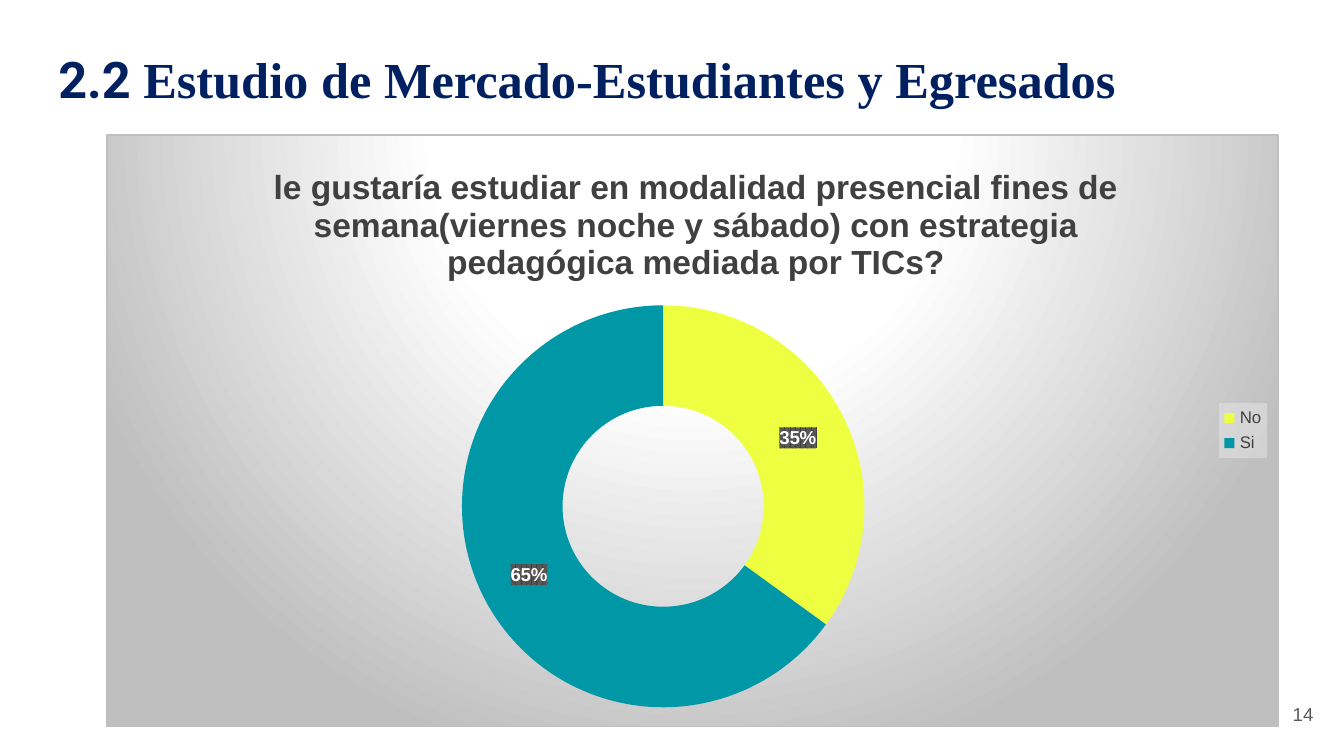
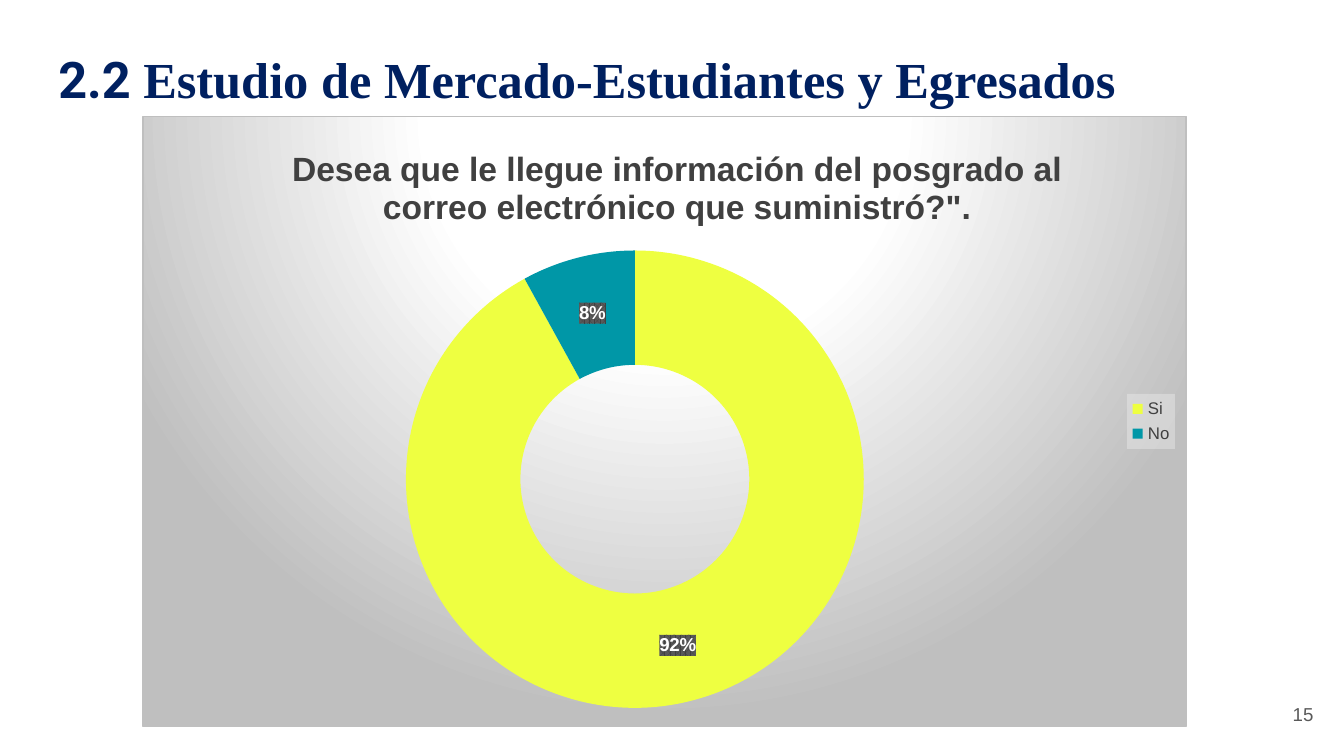
from pptx import Presentation
from pptx.chart.data import CategoryChartData
from pptx.dml.color import RGBColor
from pptx.enum.chart import XL_CHART_TYPE, XL_LEGEND_POSITION
from pptx.enum.text import MSO_ANCHOR, MSO_AUTO_SIZE, PP_ALIGN
from pptx.oxml import parse_xml
from pptx.oxml.ns import nsdecls
from pptx.util import Pt

COLORS = {
    "navy": "002060",
    "yellow": "EEFF41",
    "teal": "0097A7",
    "text": "404040",
    "label": "595959",
    "legend": "F2F2F2",
    "edge": "BFBFBF",
    "white": "FFFFFF",
    "black": "000000",
}
TITLE_RUNS = [
    ("2.2 ", "Roboto"),
    ("Estudio de Mercado-Estudiantes y Egresados", "Times New Roman"),
]
SURVEYS = [
    {
        "number": "14",
        "question": "le gustaría estudiar en modalidad presencial fines de "
        "semana(viernes noche y sábado) con estrategia pedagógica mediada por TICs?",
        "answers": {"No": 35, "Si": 65},
        "frame": (57, 72, 628, 317.5),
        "ring": (247, 163.4, 216),
    },
    {
        "number": "15",
        "question": "Desea que le llegue información del posgrado al "
        'correo electrónico que suministró?".',
        "answers": {"Si": 92, "No": 8},
        "frame": (76.3, 62, 559.5, 327.5),
        "ring": (217.5, 134, 245.5),
    },
]


def style_font(font, name, size, color, bold=False):
    font.name = name
    font.size = Pt(size)
    font.bold = bold
    font.color.rgb = RGBColor.from_string(COLORS[color])


def place(part, index, target, **fractions):
    for layout in part.xpath("c:layout"):
        part.remove(layout)
    modes = "".join(f'<c:{side}Mode val="edge"/>' for side in "xy")
    values = "".join(f'<c:{key} val="{value:.3f}"/>' for key, value in fractions.items())
    part.insert(index, parse_xml(
        f'<c:layout {nsdecls("c")}><c:manualLayout>{target}{modes}{values}'
        "</c:manualLayout></c:layout>"))


deck = Presentation()
deck.slide_width = Pt(720)
deck.slide_height = Pt(405)

for survey in SURVEYS:
    page = deck.slides.add_slide(deck.slide_layouts[5])

    title = page.shapes.title
    title.left, title.top, title.width, title.height = Pt(24), Pt(22.3), Pt(631), Pt(40.3)
    title.text_frame.auto_size = MSO_AUTO_SIZE.SHAPE_TO_FIT_TEXT
    title.text_frame.vertical_anchor = MSO_ANCHOR.TOP
    para = title.text_frame.paragraphs[0]
    para.alignment = PP_ALIGN.LEFT
    for text, font_name in TITLE_RUNS:
        span = para.add_run()
        span.text = text
        style_font(span.font, font_name, 27, "navy", True)

    data = CategoryChartData()
    data.categories = list(survey["answers"])
    data.add_series("Series 1", list(survey["answers"].values()))
    left, top, width, height = survey["frame"]
    chart = page.shapes.add_chart(
        XL_CHART_TYPE.DOUGHNUT, Pt(left), Pt(top), Pt(width), Pt(height), data).chart
    style_font(chart.font, "Arial", 10, "black")

    chart.has_title = True
    heading = chart.chart_title.text_frame
    heading.text = survey["question"]
    style_font(heading.paragraphs[0].font, "Arial", 18, "text", True)
    place(chart.element.xpath("c:chart/c:title")[0], 1, "", x=0.137, y=0.04)

    ring_left, ring_top, diameter = survey["ring"]
    place(chart.element.xpath("c:chart/c:plotArea")[0], 0,
          '<c:layoutTarget val="inner"/>',
          x=(ring_left - left) / width, y=(ring_top - top) / height,
          w=diameter / width, h=diameter / height)

    chart.has_legend = True
    chart.legend.position = XL_LEGEND_POSITION.RIGHT
    chart.legend.include_in_layout = False
    style_font(chart.legend.font, "Arial", 9, "text")

    plot = chart.plots[0]
    for index, color in enumerate(("yellow", "teal")):
        fill = plot.series[0].points[index].format.fill
        fill.solid()
        fill.fore_color.rgb = RGBColor.from_string(COLORS[color])

    labels = plot.series[0].data_labels
    labels.show_percentage = True
    labels.show_value = False
    labels.number_format = "0%"
    labels.number_format_is_linked = False
    style_font(labels.font, "Arial", 10, "white", True)

    backgrounds = {
        "c:txPr": '<a:gradFill><a:gsLst>'
        f'<a:gs pos="0"><a:srgbClr val="{COLORS["white"]}"/></a:gs>'
        f'<a:gs pos="39000"><a:srgbClr val="{COLORS["white"]}"/></a:gs>'
        f'<a:gs pos="100000"><a:srgbClr val="{COLORS["edge"]}"/></a:gs></a:gsLst>'
        '<a:path path="circle"><a:fillToRect l="50000" t="-80000" r="50000" b="180000"/>'
        f'</a:path></a:gradFill><a:ln w="9525"><a:solidFill><a:srgbClr val="{COLORS["edge"]}"/>'
        "</a:solidFill></a:ln>",
        "c:chart/c:legend/c:txPr": f'<a:solidFill><a:srgbClr val="{COLORS["legend"]}">'
        '<a:alpha val="39000"/></a:srgbClr></a:solidFill>',
        ".//c:ser/c:dLbls/c:txPr": '<a:pattFill prst="pct75">'
        f'<a:fgClr><a:srgbClr val="{COLORS["text"]}"/></a:fgClr>'
        f'<a:bgClr><a:srgbClr val="{COLORS["label"]}"/></a:bgClr></a:pattFill>',
    }
    for target, background in backgrounds.items():
        chart.element.xpath(target)[0].addprevious(
            parse_xml(f'<c:spPr {nsdecls("c", "a")}>{background}</c:spPr>'))

    box = page.shapes.add_textbox(Pt(667.5), Pt(367.2), Pt(43.2), Pt(31))
    frame = box.text_frame
    frame.word_wrap = True
    frame.vertical_anchor = MSO_ANCHOR.MIDDLE
    frame.margin_left = frame.margin_right = Pt(7.2)
    frame.margin_top = frame.margin_bottom = Pt(7.2)
    para = frame.paragraphs[0]
    para.text = survey["number"]
    para.alignment = PP_ALIGN.RIGHT
    style_font(para.font, "Arial", 10, "label")

deck.save("out.pptx")
